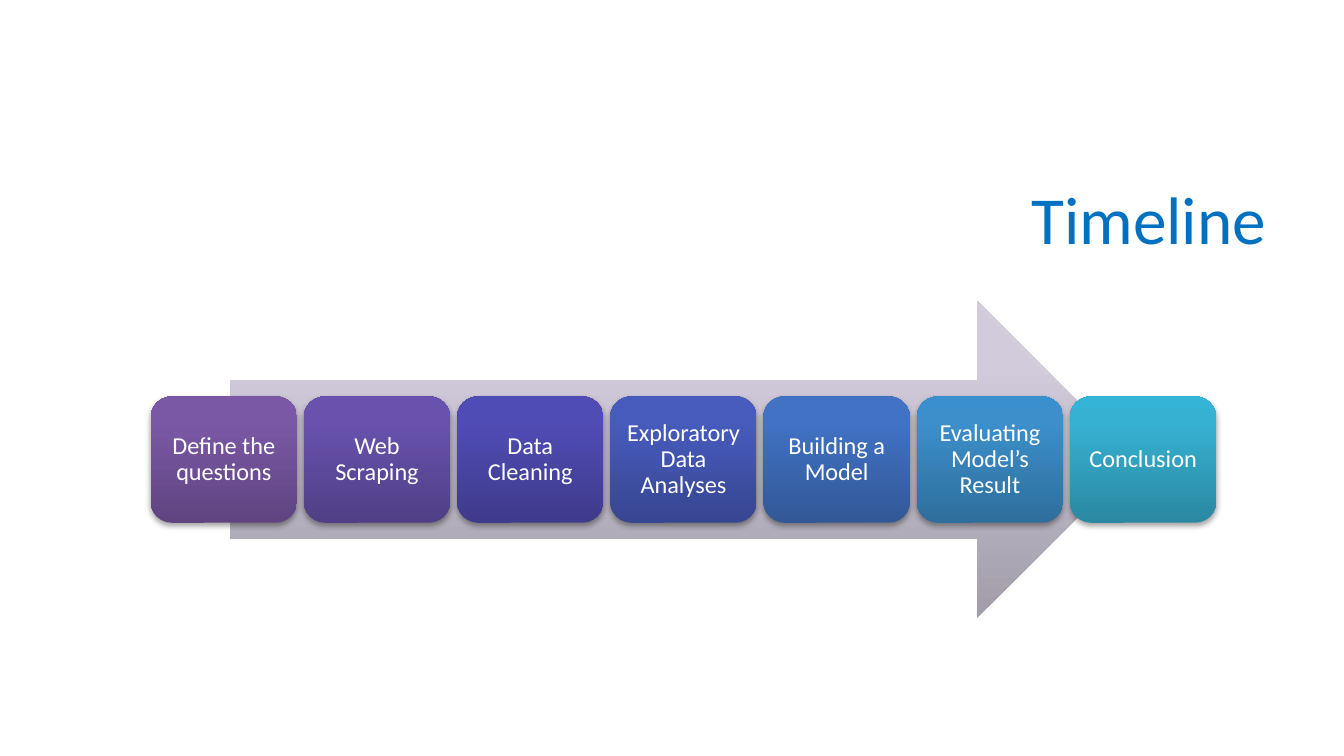
from copy import deepcopy

from lxml.etree import SubElement
from pptx import Presentation
from pptx.dml.color import RGBColor
from pptx.enum.shapes import MSO_SHAPE
from pptx.enum.text import MSO_ANCHOR, PP_ALIGN
from pptx.oxml.ns import qn
from pptx.util import Inches, Pt

TITLE = "Timeline"
TITLE_BLUE = RGBColor(0x00, 0x70, 0xC0)
WHITE = RGBColor(0xFF, 0xFF, 0xFF)
FONT = "Calibri"

# Gradients run from bottom to top
STOP_POSITIONS = (0, 0.8, 1)
ARROW_COLORS = ("A19CA8", "D1CBDB", "D2CBDC")
STEPS = [
    ("Define the questions", ("5F4480", "7B58A6", "7C57A8")),
    ("Web Scraping", ("503F86", "6852AE", "6851B0")),
    ("Data Cleaning", ("3E3B8B", "504CB5", "4F4BB8")),
    ("Exploratory Data Analyses", ("374691", "475BBC", "455ABF")),
    ("Building a Model", ("325897", "4172C4", "3F72C7")),
    ("Evaluating Model’s Result", ("2E6E9C", "3C8FCB", "3A90CE")),
    ("Conclusion", ("2A88A2", "37B1D2", "34B4D6")),
]
STEP_LEFT, STEP_TOP, STEP_PITCH = 1.12, 2.95, 1.14
STEP_WIDTH, STEP_HEIGHT = 1.09, 0.94


def add_gradient_shape(slide, kind, left, top, width, height, colors):
    shape = slide.shapes.add_shape(
        kind, Inches(left), Inches(top), Inches(width), Inches(height))
    shape.shadow.inherit = False
    shape.line.fill.background()
    shape.fill.gradient()
    shape.fill.gradient_angle = 90
    stop_list = shape._element.spPr.find(".//" + qn("a:gsLst"))
    stop_list.append(deepcopy(stop_list[-1]))
    for stop, position, color in zip(
            shape.fill.gradient_stops, STOP_POSITIONS, colors):
        stop.position = position
        stop.color.rgb = RGBColor.from_string(color)
    return shape


def add_drop_shadow(shape):
    effects = shape._element.spPr.find(qn("a:effectLst"))
    shadow = SubElement(effects, qn("a:outerShdw"), blurRad=str(Pt(3.1)),
                        dist=str(Pt(1.8)), dir="5400000", rotWithShape="0")
    black = SubElement(shadow, qn("a:srgbClr"), val="000000")
    SubElement(black, qn("a:alpha"), val="35000")


def write(shape, text, size, color, align):
    frame = shape.text_frame
    frame.text = text
    frame.word_wrap = True
    frame.vertical_anchor = MSO_ANCHOR.MIDDLE
    paragraph = frame.paragraphs[0]
    paragraph.alignment = align
    font = paragraph.runs[0].font
    font.name, font.size, font.color.rgb = FONT, Pt(size), color
    return frame


def main():
    prs = Presentation()
    prs.slide_width = Inches(10)
    prs.slide_height = Inches(10 * 9 / 16)
    slide = prs.slides.add_slide(prs.slide_layouts[6])

    title = slide.shapes.add_textbox(
        Inches(0.49), Inches(1.2), Inches(9.03), Inches(0.84))
    write(title, TITLE, 36, TITLE_BLUE, PP_ALIGN.RIGHT)

    add_gradient_shape(slide, MSO_SHAPE.RIGHT_ARROW,
                       1.71, 2.24, 6.74, 2.36, ARROW_COLORS)

    for index, (label, colors) in enumerate(STEPS):
        step = add_gradient_shape(
            slide, MSO_SHAPE.ROUNDED_RECTANGLE,
            STEP_LEFT + index * STEP_PITCH, STEP_TOP,
            STEP_WIDTH, STEP_HEIGHT, colors)
        add_drop_shadow(step)
        frame = write(step, label, 13, WHITE, PP_ALIGN.CENTER)
        frame.paragraphs[0].line_spacing = 0.9
        frame.margin_left = frame.margin_right = Inches(0.05)
        frame.margin_top = frame.margin_bottom = Inches(0.05)

    prs.save("out.pptx")


if __name__ == "__main__":
    main()
